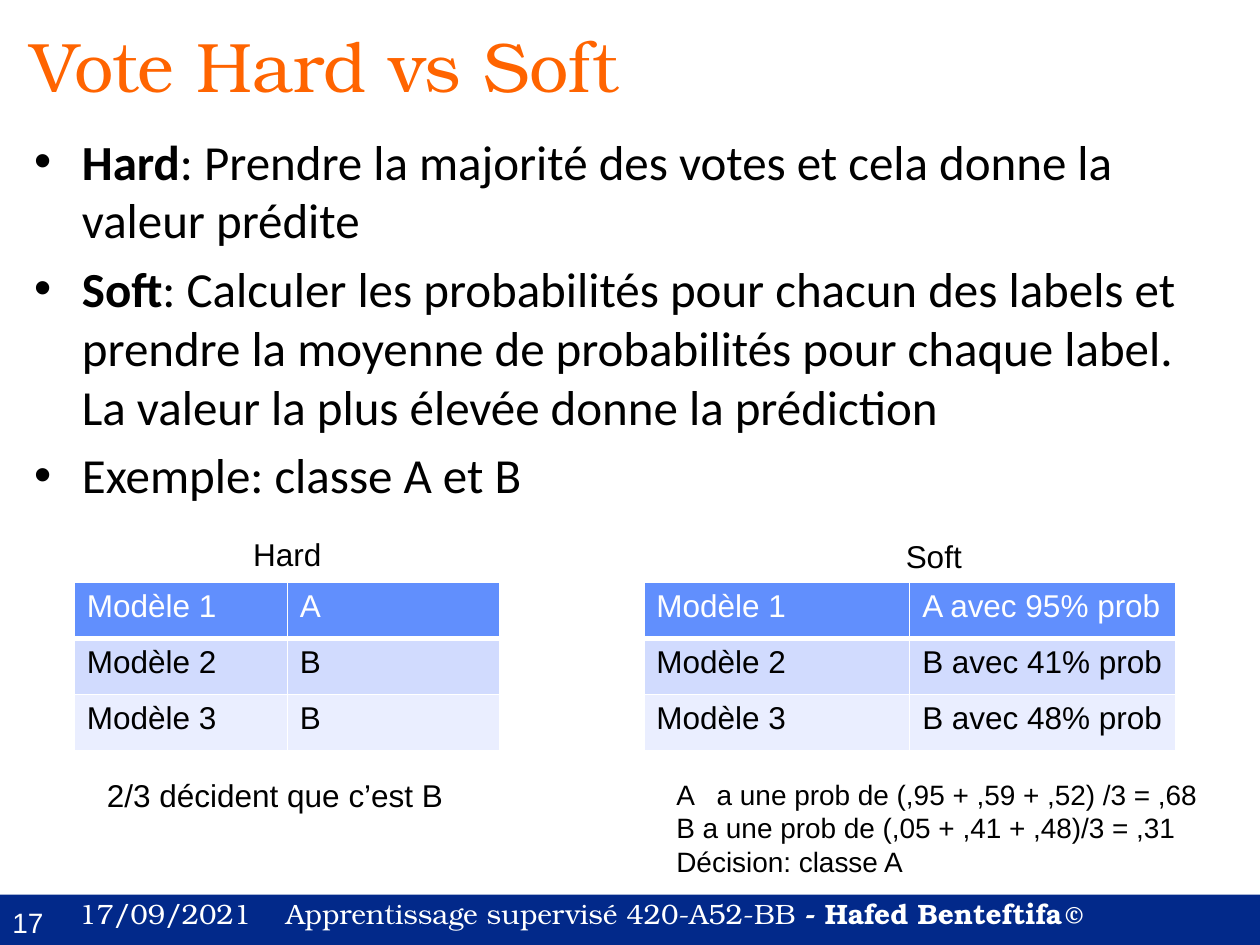
from dataclasses import dataclass

from pptx import Presentation
from pptx.dml.color import RGBColor
from pptx.enum.shapes import MSO_SHAPE
from pptx.enum.text import MSO_ANCHOR, MSO_AUTO_SIZE, PP_ALIGN
from pptx.oxml import parse_xml
from pptx.oxml.ns import nsdecls
from pptx.util import Emu, Inches, Pt

RECT = MSO_SHAPE.RECTANGLE
TOP, MIDDLE = MSO_ANCHOR.TOP, MSO_ANCHOR.MIDDLE
NO_FIT = MSO_AUTO_SIZE.NONE
LEFT = PP_ALIGN.LEFT
COLS, ROWS = 100, 75


@dataclass(frozen=True)
class Theme:
    white: str = "FFFFFF"
    black: str = "000000"
    title: str = "FF6400"
    footer: str = "02298A"
    table_rows: tuple = ("618FFD", "D1DBFE", "EAEEFF")
    serif: str = "TeX Gyre Bonum"
    symbol: str = "Cambria"
    body: str = "Calibri"
    sans: str = "Arial"
    title_size: int = 40
    body_size: int = 28
    text_size: int = 18
    small_size: int = 16


class SlideBuilder:
    def __init__(self, prs, theme):
        self.theme = theme
        self.cell_w, self.cell_h = prs.slide_width / COLS, prs.slide_height / ROWS
        self.s = prs.slides.add_slide(prs.slide_layouts[1])

    def box(self, col, row, cols, rows):
        """Turn grid units into left, top, width and height."""
        return [Emu(round(n * unit)) for n, unit in
                zip((col, row, cols, rows), (self.cell_w, self.cell_h) * 2)]

    def run(self, p, text, size, color, name, bold=False):
        r = p.add_run()
        r.text = text
        for key, value in {"size": Pt(size), "name": name, "bold": bold}.items():
            setattr(r.font, key, value)
        r.font.color.rgb = RGBColor.from_string(color)

    def paragraphs(self, tf, count):
        return [tf.paragraphs[0]] + [tf.add_paragraph() for _ in range(count - 1)]

    def place(self, sp, grid, anchor):
        sp.left, sp.top, sp.width, sp.height = self.box(*grid)
        tf = sp.text_frame
        for key, value in {"word_wrap": True, "auto_size": NO_FIT,
                           "vertical_anchor": anchor}.items():
            setattr(tf, key, value)
        return tf

    def title(self, text, grid):
        t = self.theme
        p = self.place(self.s.shapes.title, grid, MIDDLE).paragraphs[0]
        p.alignment = LEFT
        self.run(p, text, t.title_size, t.title, t.serif)

    def bullets(self, items, grid):
        """Each item is a bold lead and the text after it."""
        t = self.theme
        tf = self.place(self.s.placeholders[1], grid, TOP)
        for i, (p, (lead, rest)) in enumerate(
                zip(self.paragraphs(tf, len(items)), items)):
            p.space_before = Pt(5.6 if i else 0)
            pPr = p._p.get_or_add_pPr()
            pPr.set("marL", str(Inches(0.38)))
            pPr.set("indent", str(-Inches(0.38)))
            for xml in (f'<a:buFont {nsdecls("a")} typeface="{t.sans}"/>',
                        f'<a:buChar {nsdecls("a")} char="•"/>'):
                pPr.append(parse_xml(xml))
            if lead:
                self.run(p, lead, t.body_size, t.black, t.body, True)
            self.run(p, rest, t.body_size, t.black, t.body)

    def text(self, lines, grid, size, color=None, wrap=True, tab=None):
        """Each line is a list of (text, font, bold); tab is a stop in columns."""
        tf = self.s.shapes.add_textbox(*self.box(*grid)).text_frame
        tf.word_wrap = wrap
        for p, runs in zip(self.paragraphs(tf, len(lines)), lines):
            if tab:
                p._p.get_or_add_pPr().append(parse_xml(
                    f'<a:tabLst {nsdecls("a")}><a:tab algn="l" '
                    f'pos="{round(tab * self.cell_w)}"/></a:tabLst>'))
            for text, name, bold in runs:
                self.run(p, text, size, color or self.theme.black, name, bold)

    def plain(self, lines, grid, size, **options):
        self.text([[(line, self.theme.sans, False)] for line in lines],
                  grid, size, **options)

    def band(self, grid, color):
        sp = self.s.shapes.add_shape(RECT, *self.box(*grid))
        sp.shadow.inherit = False
        sp.fill.solid()
        sp.fill.fore_color.rgb = RGBColor.from_string(color)
        sp.line.fill.background()

    def borders(self, cell, bottom):
        tcPr = cell._tc.get_or_add_tcPr()
        widths = {"lnL": 1, "lnR": 1, "lnT": 1, "lnB": bottom}
        for i, (side, width) in enumerate(widths.items()):
            tcPr.insert(i, parse_xml(
                f'<a:{side} {nsdecls("a")} w="{Pt(width)}"><a:solidFill>'
                f'<a:srgbClr val="{self.theme.white}"/></a:solidFill></a:{side}>'))

    def table(self, rows, grid):
        t = self.theme
        table = self.s.shapes.add_table(len(rows), len(rows[0]), *self.box(*grid)).table
        for i, (values, fill) in enumerate(zip(rows, t.table_rows)):
            for j, value in enumerate(values):
                cell = table.cell(i, j)
                cell.fill.solid()
                cell.fill.fore_color.rgb = RGBColor.from_string(fill)
                self.borders(cell, 1 if i else 3)
                self.run(cell.text_frame.paragraphs[0], value, t.text_size,
                         t.black if i else t.white, t.sans)


def main():
    prs = Presentation()
    prs.slide_width, prs.slide_height = Inches(10), Inches(7.5)
    t = Theme()
    b = SlideBuilder(prs, t)

    b.band((0, 71, COLS, 4), t.footer)
    b.plain(["17"], (0, 71.4, 7.5, 3.7), t.small_size, color=t.white)
    b.text([[("17/09/2021\tApprentissage supervisé 420-A52-BB", t.serif, False),
             (" - Hafed Benteftifa", t.serif, True),
             ("©", t.symbol, True)]],
           (5.3, 70.7, 94.7, 4.3), t.small_size, color=t.white, tab=16.4)

    b.title("Vote Hard vs Soft", (1.4, 0.5, 96.8, 9.3))
    b.bullets([
        ("Hard", ": Prendre la majorité des votes et cela donne la valeur prédite"),
        ("Soft", ": Calculer les probabilités pour chacun des labels et prendre la "
                 "moyenne de probabilités pour chaque label. La valeur la plus élevée "
                 "donne la prédiction"),
        ("", "Exemple: classe A et B"),
    ], (1.7, 9.9, 96.7, 57.1))

    examples = [
        ("Hard", (19.1, 42, 7.5, 4), ("A", "B", "B"), (5.9, 46.2, 33.8, 13.4)),
        ("Soft", (70.9, 42.1, 6.5, 4),
         ("A avec 95% prob", "B avec 41% prob", "B avec 48% prob"),
         (51.1, 46.2, 42.2, 13.4)),
    ]
    for caption, caption_grid, votes, table_grid in examples:
        b.plain([caption], caption_grid, t.text_size, wrap=False)
        b.table([(f"Modèle {n}", vote) for n, vote in enumerate(votes, 1)], table_grid)

    b.plain(["2/3 décident que c’est B"], (7.5, 61.1, 28.9, 4), t.text_size, wrap=False)
    b.plain(["A\ta une prob de (,95 + ,59 + ,52) /3 = ,68",
             "B a une prob de (,05 + ,41 + ,48)/3 = ,31",
             "Décision: classe A"], (52.7, 61.2, 44, 9.1), t.small_size, tab=3.2)

    prs.save("out.pptx")


if __name__ == "__main__":
    main()
